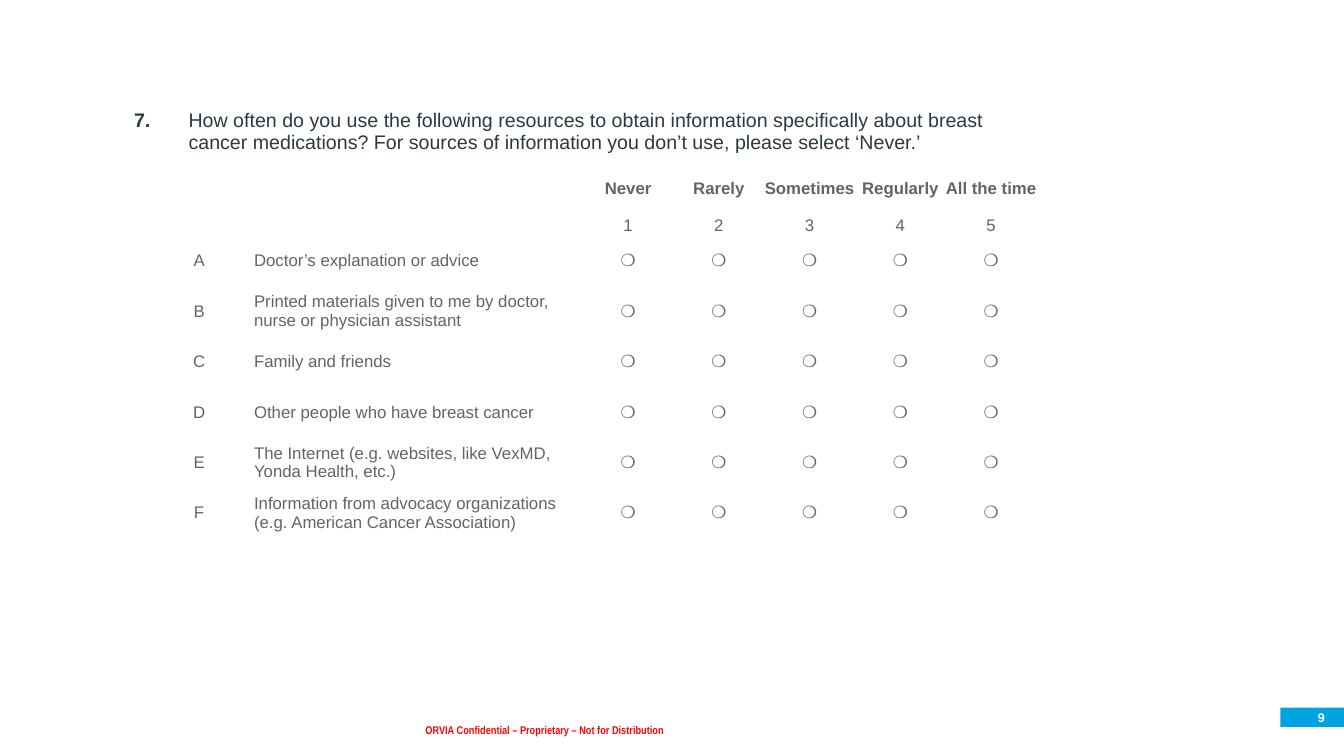
from lxml.etree import SubElement
from pptx import Presentation
from pptx.dml.color import RGBColor
from pptx.enum.shapes import MSO_SHAPE
from pptx.enum.text import MSO_ANCHOR, PP_ALIGN
from pptx.oxml.ns import qn
from pptx.util import Inches, Pt

QUESTION_NUMBER = "7."
QUESTION = (
    "How often do you use the following resources to obtain information "
    "specifically about breast cancer medications? For sources of information "
    "you don’t use, please select ‘Never.’"
)
FREQUENCIES = ["Never", "Rarely", "Sometimes", "Regularly", "All the time"]
RESOURCES = [
    "Doctor’s explanation or advice",
    "Printed materials given to me by doctor, nurse or physician assistant",
    "Family and friends",
    "Other people who have breast cancer",
    "The Internet (e.g. websites, like VexMD, Yonda Health, etc.)",
    "Information from advocacy organizations (e.g. American Cancer Association)",
]
OPTION = "❍"
CONFIDENTIAL = "ORVIA Confidential – Proprietary – Not for Distribution"
PAGE = "9"

QUESTION_COLUMNS, QUESTION_ROWS = [0.54, 8.35], [0.57]
SURVEY_COLUMNS = [0.95, 3.33] + [0.9] * len(FREQUENCIES)
SURVEY_ROWS = [0.53, 0.18] + [0.5] * len(RESOURCES)
QUESTION_LEFT, QUESTION_TOP = 1.23, 1.04
SURVEY_LEFT, SURVEY_TOP = 1.5, QUESTION_TOP + QUESTION_ROWS[0]

NAVY, GREY, BLUE, RED, WHITE = "2B3A42", "636466", "00A3E0", "FF0000", "FFFFFF"
LEFT, CENTER, RIGHT = PP_ALIGN.LEFT, PP_ALIGN.CENTER, PP_ALIGN.RIGHT
TOP, MIDDLE, BOTTOM = MSO_ANCHOR.TOP, MSO_ANCHOR.MIDDLE, MSO_ANCHOR.BOTTOM
INSET = (0.1, 0.05, 0.1, 0.05)
FLUSH = (0, 0, 0, 0)
LABEL_INSET = (0.07, 0, 0.07, 0)
OPTION_INSET = (0, 0.05, 0, 0.05)


def color(value):
    return RGBColor.from_string(value)


def set_insets(holder, insets):
    (holder.margin_left, holder.margin_top,
     holder.margin_right, holder.margin_bottom) = map(Inches, insets)


def write(frame, text, size, ink, bold=False, align=LEFT, font="Arial"):
    paragraph = frame.paragraphs[0]
    paragraph.alignment = align
    run = paragraph.add_run()
    run.text = text
    run.font.name, run.font.size, run.font.bold = font, Pt(size), bold
    run.font.color.rgb = color(ink)


def add_band(slide, box, fill):
    band = slide.shapes.add_shape(MSO_SHAPE.RECTANGLE, *map(Inches, box))
    band.shadow.inherit = False
    band.fill.solid()
    band.fill.fore_color.rgb = color(fill)
    band.line.fill.background()
    return band


def add_grid(slide, left, top, columns, rows):
    grid = slide.shapes.add_table(
        len(rows), len(columns), Inches(left), Inches(top),
        Inches(sum(columns)), Inches(sum(rows))).table
    grid.first_row = grid.horz_banding = False
    for column, width in zip(grid.columns, columns):
        column.width = Inches(width)
    for row, height in zip(grid.rows, rows):
        row.height = Inches(height)
    for cell in grid.iter_cells():
        cell.fill.background()
    return grid


def fill_cell(cell, text, size, ink, bold=False, align=CENTER,
              insets=FLUSH, anchor=MIDDLE):
    set_insets(cell, insets)
    cell.vertical_anchor = anchor
    if text:
        write(cell.text_frame, text, size, ink, bold, align)
    else:
        SubElement(cell.text_frame.paragraphs[0]._p, qn("a:endParaRPr"),
                   sz=str(size * 100))


def add_footer(slide):
    page_box = (12.7, 7.02, 0.63, 0.19)
    add_band(slide, page_box, BLUE)
    page = slide.shapes.add_textbox(
        *map(Inches, (*page_box[:2], 0.44, page_box[3]))).text_frame
    page.word_wrap = True
    page.vertical_anchor = MIDDLE
    set_insets(page, FLUSH)
    write(page, PAGE, 9, WHITE, True, RIGHT)

    notice = add_band(slide, (0.42, 6.99, 9.97, 0.37), WHITE).text_frame
    notice.word_wrap = True
    notice.vertical_anchor = BOTTOM
    set_insets(notice, INSET)
    write(notice, CONFIDENTIAL, 8, RED, True, CENTER, "Arial Narrow")


def add_question(slide):
    question = add_grid(slide, QUESTION_LEFT, QUESTION_TOP,
                        QUESTION_COLUMNS, QUESTION_ROWS)
    for column, text in enumerate([QUESTION_NUMBER, QUESTION]):
        fill_cell(question.cell(0, column), text, 14, NAVY, column == 0,
                  LEFT, INSET, TOP)


def add_survey(slide):
    survey = add_grid(slide, SURVEY_LEFT, SURVEY_TOP, SURVEY_COLUMNS, SURVEY_ROWS)
    scores = [str(score) for score in range(1, len(FREQUENCIES) + 1)]
    for row, headings in enumerate([FREQUENCIES, scores]):
        for column, heading in enumerate(["", "", *headings]):
            fill_cell(survey.cell(row, column), heading, 12, GREY, row == 0)
    for row, (letter, resource) in enumerate(zip("ABCDEF", RESOURCES), 2):
        fill_cell(survey.cell(row, 0), letter, 12, GREY, insets=LABEL_INSET)
        fill_cell(survey.cell(row, 1), resource, 12, GREY, align=LEFT,
                  insets=LABEL_INSET)
        for column in range(2, len(SURVEY_COLUMNS)):
            fill_cell(survey.cell(row, column), OPTION, 12, GREY,
                      insets=OPTION_INSET)


def main():
    deck = Presentation()
    deck.slide_width, deck.slide_height = Inches(13.33), Inches(7.5)
    slide = deck.slides.add_slide(deck.slide_layouts[6])
    add_footer(slide)
    add_question(slide)
    add_survey(slide)
    deck.save("out.pptx")


if __name__ == "__main__":
    main()
